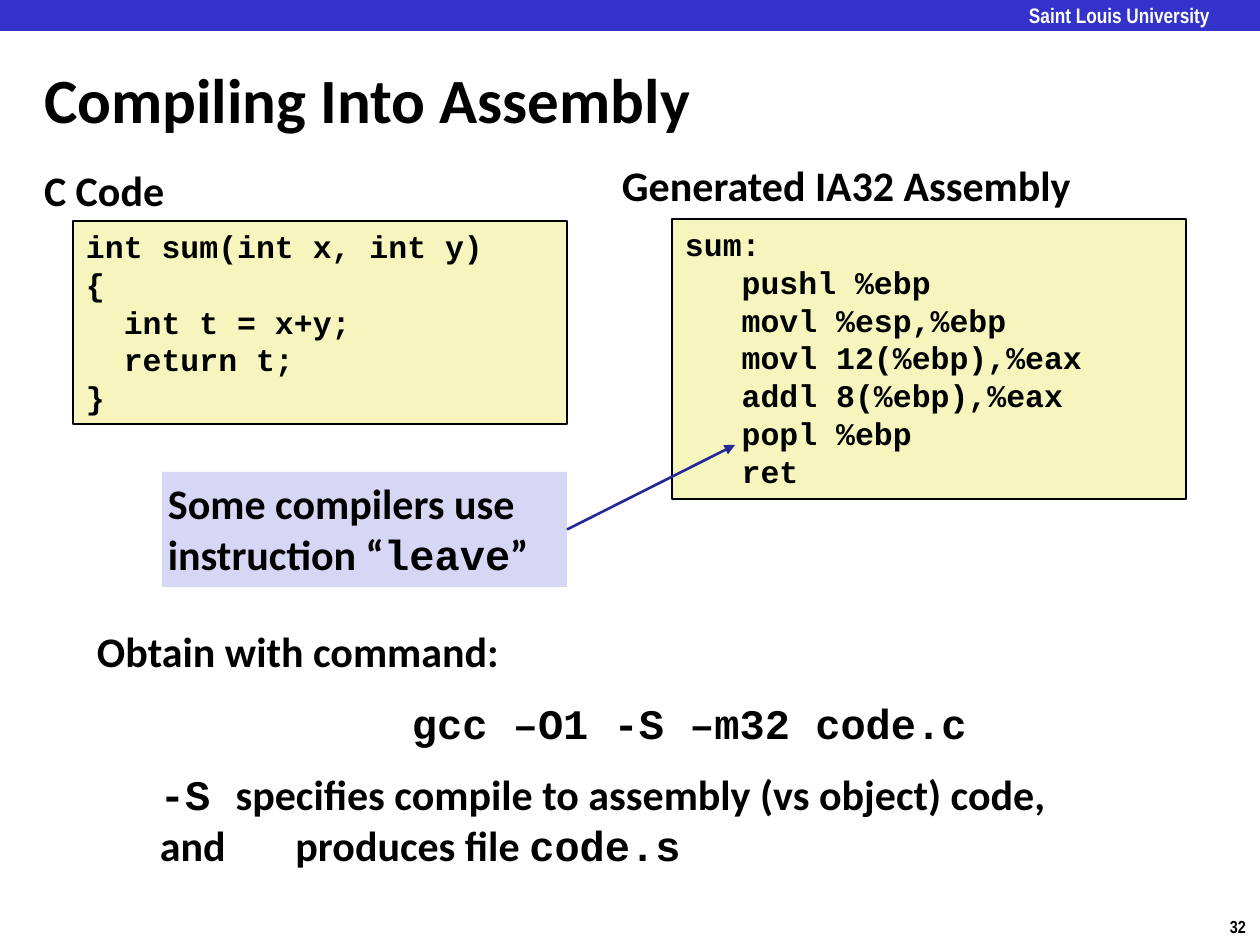
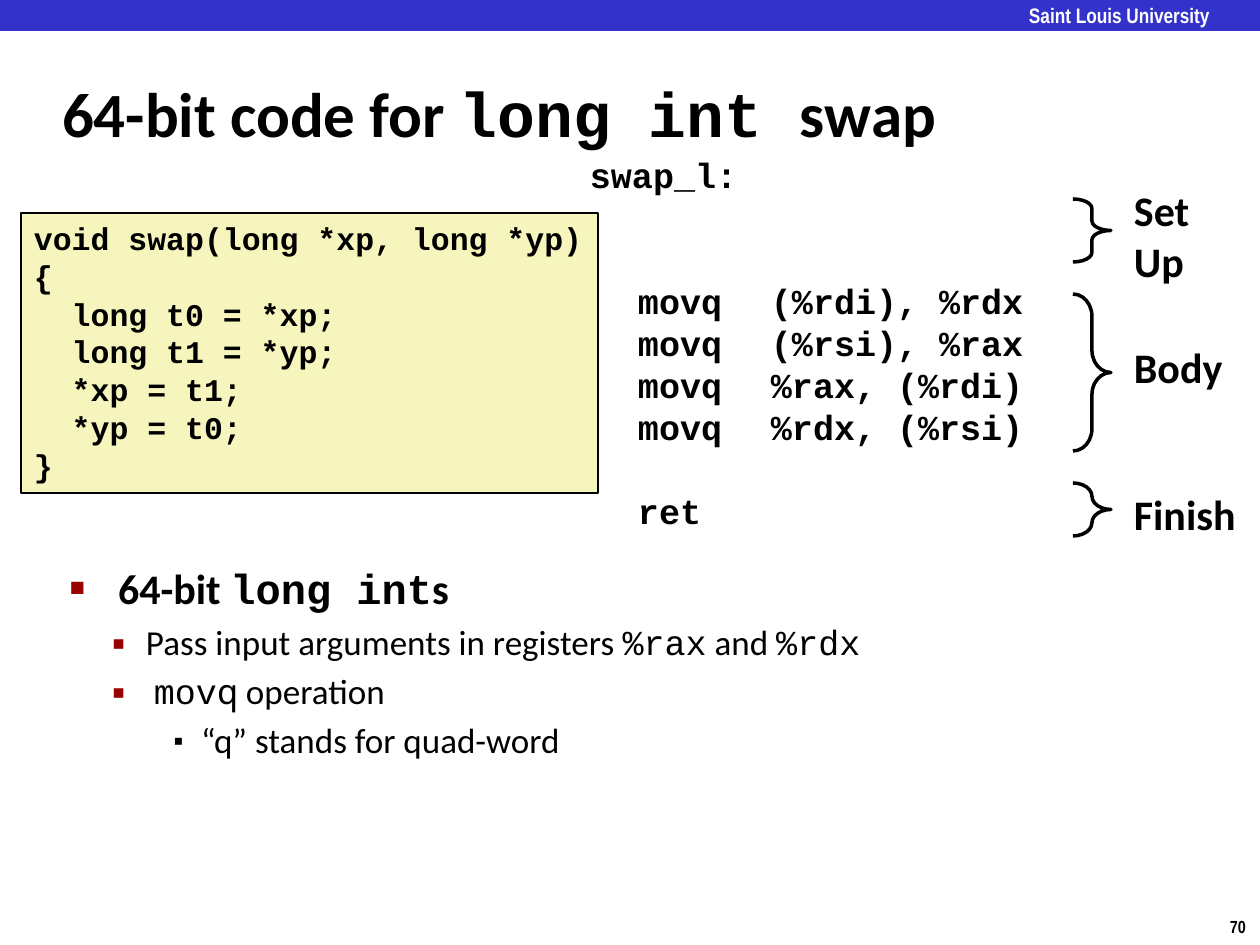
from lxml import etree
from pptx import Presentation
from pptx.dml.color import RGBColor
from pptx.enum.shapes import MSO_CONNECTOR, MSO_SHAPE
from pptx.enum.text import MSO_ANCHOR, MSO_AUTO_SIZE, PP_ALIGN
from pptx.oxml.ns import qn
from pptx.util import Pt

RECTANGLE, RIGHT_BRACE = MSO_SHAPE.RECTANGLE, MSO_SHAPE.RIGHT_BRACE
STRAIGHT = MSO_CONNECTOR.STRAIGHT
TOP, MIDDLE = MSO_ANCHOR.TOP, MSO_ANCHOR.MIDDLE
LEFT, NO_RESIZE = PP_ALIGN.LEFT, MSO_AUTO_SIZE.NONE

# Shared look; all lengths are px, 126 to the inch
PX = 914400 / 126
WIDTH, HEIGHT = 1260, 945
COLORS = {"band": "3333CC", "code": "F6F5BD", "note": "D6D6F5", "arrow": "262699",
          "bullet": "990000", "text": "000000", "white": "FFFFFF"}
SANS, CODE, NARROW, MONO = "Calibri", "Courier New", "Arial Narrow", "Noto Sans Mono"
INSETS = (13, 6, 13, 6)
CODE_LEADING = 1.2
HEADER = "Saint Louis University"

# Slide 1 content
COMPILE = {
    "number": "32",
    "title": "Compiling Into Assembly",
    "title_box": (31, 60, 944, 77),
    "body_box": (31, 158, 223, 50),
    "body": "C Code",
    "assembly_heading": "Generated IA32 Assembly",
    "code": [
        ((73, 221, 494, 203),
         ["int sum(int x, int y)", "{", "  int t = x+y;", "  return t;", "}"]),
        ((672, 219, 514, 280),
         ["sum:", "   pushl %ebp", "   movl %esp,%ebp", "   movl 12(%ebp),%eax",
          "   addl 8(%ebp),%eax", "   popl %ebp", "   ret"]),
    ],
    "note": [("Some compilers use instruction “", SANS), ("leave", CODE), ("”", SANS)],
    # (left margin, runs)
    "command": [
        (0, "Obtain with command:"),
        (315, [("gcc –O1 -S –m32 code.c", CODE)]),
        (63, [("-S ", CODE),
              ("specifies compile to assembly (vs object) code, and\t produces file ", SANS),
              ("code.s", CODE)]),
    ],
}

# Slide 2 content
SWAP = {
    "number": "70",
    "title": [("64-bit code for ", SANS), ("long int ", CODE), ("swap", SANS)],
    "title_box": (49, 60, 1046, 105),
    "body_box": (57, 557, 1089, 247),
    # (level, runs)
    "body": [
        (0, [("64-bit ", SANS), ("long int", CODE), ("s", SANS)]),
        (1, [("Pass input arguments in registers ", SANS), ("%rax", CODE),
             (" and ", SANS), ("%rdx", CODE)]),
        (1, [(" ", SANS), ("mov", CODE), ("q", MONO), (" operation", SANS)]),
        (2, "“q” stands for quad-word"),
    ],
    "code": [
        ((21, 213, 577, 280),
         ["void swap(long *xp, long *yp)", "{", "  long t0 = *xp;", "  long t1 = *yp;",
          "  *xp = t1;", "  *yp = t0;", "}"]),
    ],
    # (blank lines before, text)
    "assembly": [(0, "swap_l:"), (2, "\tmovq\t(%rdi), %rdx"), (0, "\tmovq\t(%rsi), %rax"),
                 (0, "\tmovq\t%rax, (%rdi)"), (0, "\tmovq\t%rdx, (%rsi)"), (1, "\tret")],
    # (brace top, brace height, brace curl, label top, label lines)
    "parts": [(199, 63, 0.25, 179, ["Set", "Up"]),
              (294, 157, 0.585, 336, ["Body"]),
              (483, 53, 0.362, 483, ["Finish"])],
}

# level: (margin, indent, bullet, colour, bullet percent, text size, bold)
BULLETS = {0: (48, -48, "■", "bullet", 60, 24, True),
           1: (76, -39, "▪", "bullet", 110, 20, False),
           2: (131, -31, "▪", None, 80, 20, False)}


def px(value):
    return round(value * PX)


def rgb(name):
    return RGBColor.from_string(COLORS[name])


def place(shape, box):
    shape.left, shape.top, shape.width, shape.height = map(px, box)


def set_frame(shape, insets=INSETS, anchor=TOP, wrap=True):
    frame = shape.text_frame
    frame.auto_size = NO_RESIZE
    frame.word_wrap = wrap
    frame.vertical_anchor = anchor
    frame.margin_left, frame.margin_top, frame.margin_right, frame.margin_bottom = map(px, insets)
    return frame


def write(paragraph, runs, size, font=SANS, color="text", bold=True):
    """Fill a paragraph from a string or a list of (text, font) runs."""
    paragraph.alignment = LEFT
    for text, run_font in [(runs, font)] if isinstance(runs, str) else runs:
        run = paragraph.add_run()
        run.text = text
        run.font.name, run.font.size, run.font.bold = run_font, Pt(size), bold
        run.font.color.rgb = rgb(color)


def paragraphs_for(frame, items):
    """Yield one paragraph of the frame for each item."""
    for index, item in enumerate(items):
        yield (frame.add_paragraph() if index else frame.paragraphs[0]), item


def add_text(slide, box, lines, size=24, insets=INSETS, wrap=True, **style):
    textbox = slide.shapes.add_textbox(*map(px, box))
    frame = set_frame(textbox, insets, wrap=wrap)
    for paragraph, line in paragraphs_for(frame, lines):
        write(paragraph, line, size, **style)


def add_block(slide, box, fill, line=None):
    block = slide.shapes.add_shape(RECTANGLE, *map(px, box))
    block.shadow.inherit = False
    block.fill.solid()
    block.fill.fore_color.rgb = rgb(fill)
    if line:
        block.line.color.rgb = rgb(line)
        block.line.width = Pt(1)
    else:
        block.line.fill.background()
    return block


def add_code(slide, box, lines, size=18):
    frame = set_frame(add_block(slide, box, "code", "text"))
    for paragraph, line in paragraphs_for(frame, lines):
        paragraph.line_spacing = Pt(size * CODE_LEADING)
        write(paragraph, line, size, CODE)


def set_indent(paragraph, margin, indent=0):
    properties = paragraph._p.get_or_add_pPr()
    properties.set("marL", str(px(margin)))
    properties.set("indent", str(px(indent)))
    return properties


def add_element(parent, tag, **attributes):
    return etree.SubElement(parent, qn(tag), attributes)


def set_bullet(paragraph, margin, indent, bullet, color, percent):
    properties = set_indent(paragraph, margin, indent)
    if color:
        add_element(add_element(properties, "a:buClr"), "a:srgbClr", val=COLORS[color])
    add_element(properties, "a:buSzPct", val=str(percent * 1000))
    add_element(properties, "a:buFont", typeface=MONO)
    add_element(properties, "a:buChar", char=bullet)


def start_slide(presentation, content):
    """Add a slide with band, header, number, title and code boxes."""
    slide = presentation.slides.add_slide(presentation.slide_layouts[1])
    add_block(slide, (0, 0, WIDTH, 31), "band")
    add_text(slide, (1029, 3, 210, 24), [HEADER], 12, (0, 0, 0, 0), font=NARROW, color="white")
    add_text(slide, (1217, 910, 43, 34), [content["number"]], 10, wrap=False, font=NARROW)
    title, body = slide.placeholders
    place(title, content["title_box"])
    write(set_frame(title, anchor=MIDDLE).paragraphs[0], content["title"], 36)
    place(body, content["body_box"])
    for box, lines in content["code"]:
        add_code(slide, box, lines)
    return slide, set_frame(body)


def build_compile(presentation):
    slide, body = start_slide(presentation, COMPILE)
    heading = body.paragraphs[0]
    add_element(set_indent(heading, 0), "a:buNone")
    heading.space_before = Pt(0)
    write(heading, COMPILE["body"], 24)
    add_text(slide, (609, 154, 567, 57), [COMPILE["assembly_heading"]])

    # Command and its explanation
    command = slide.shapes.add_textbox(*map(px, (84, 620, 1029, 267)))
    for paragraph, (margin, runs) in paragraphs_for(set_frame(command), COMPILE["command"]):
        set_indent(paragraph, margin)
        paragraph.space_before = Pt(12 if margin else 0)
        write(paragraph, runs, 24)

    # Note with an arrow to the instruction it is about
    note = add_block(slide, (162, 472, 405, 115), "note")
    write(set_frame(note, (6, 6, 6, 6)).paragraphs[0], COMPILE["note"], 24)
    arrow = slide.shapes.add_connector(STRAIGHT, px(567), px(530), px(735), px(445))
    arrow.begin_connect(note, 3)
    arrow.line.color.rgb = rgb("arrow")
    arrow.line.width = Pt(1.5)
    add_element(arrow.line._get_or_add_ln(), "a:tailEnd", type="triangle")
    add_element(arrow._element.spPr, "a:effectLst")


def build_swap(presentation):
    slide, body = start_slide(presentation, SWAP)
    for paragraph, (level, runs) in paragraphs_for(body, SWAP["body"]):
        *bullet, size, bold = BULLETS[level]
        paragraph.level = level
        set_bullet(paragraph, *bullet)
        paragraph.space_before = Pt(4 if level else 0)
        write(paragraph, runs, size, bold=bold)

    # Assembly listing in tabbed columns
    listing = slide.shapes.add_textbox(*map(px, (577, 147, 577, 394)))
    size = 20
    leading = size * CODE_LEADING
    for paragraph, (blank_lines, line) in paragraphs_for(set_frame(listing), SWAP["assembly"]):
        tabs = add_element(paragraph._p.get_or_add_pPr(), "a:tabLst")
        for position in (48, 181):
            add_element(tabs, "a:tab", pos=str(px(position)), algn="l")
        paragraph.line_spacing = Pt(leading)
        paragraph.space_before = Pt(blank_lines * leading)
        write(paragraph, line, size, CODE)

    # Braces naming the parts of the listing
    for top, height, curl, label_top, label in SWAP["parts"]:
        brace = slide.shapes.add_shape(RIGHT_BRACE, px(1073), px(top), px(38), px(height))
        brace.adjustments[0] = curl
        brace.shadow.inherit = False
        brace.fill.background()
        brace.line.color.rgb = rgb("text")
        brace.line.width = Pt(2)
        add_text(slide, (1121, label_top, 128, 63 * len(label)), label, wrap=False)


def main():
    presentation = Presentation()
    presentation.slide_width, presentation.slide_height = px(WIDTH), px(HEIGHT)
    build_compile(presentation)
    build_swap(presentation)
    presentation.save("out.pptx")


if __name__ == "__main__":
    main()
